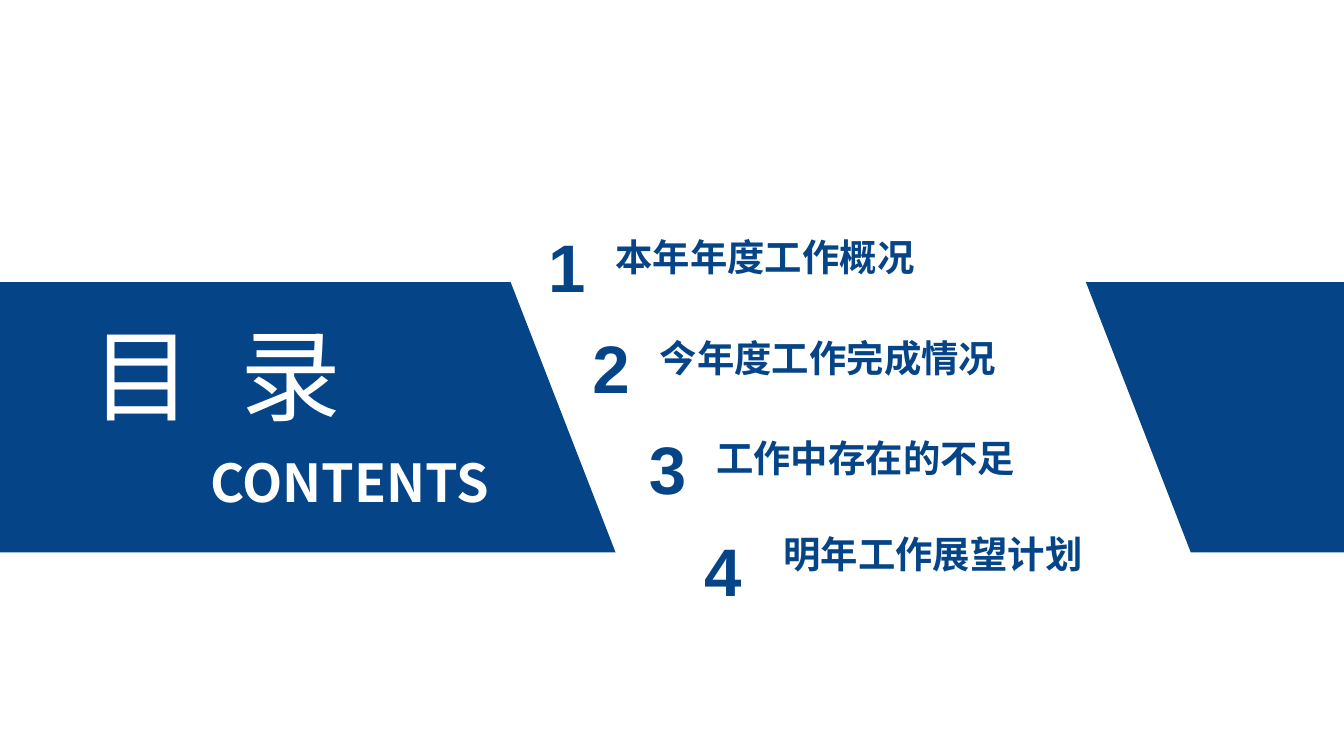
import pptx
import pptx.dml.color
import pptx.enum.text
import pptx.oxml.ns
import pptx.util
import lxml.etree

Inches = pptx.util.Inches
ALIGN = pptx.enum.text.PP_ALIGN
ANCHOR = pptx.enum.text.MSO_ANCHOR
AUTO = pptx.enum.text.MSO_AUTO_SIZE
COLORS = {"navy": "054487", "white": "FFFFFF"}
CJK = "Noto Sans CJK SC"


def rgb(name):
    """Return the named colour."""
    return pptx.dml.color.RGBColor.from_string(COLORS[name])


def write(sp, text, size, color="navy", font=CJK, bold=True, align=ALIGN.LEFT,
          anchor=ANCHOR.TOP, wrap=False, auto=AUTO.NONE, leading=1.0, spacing=0):
    """Fill a shape with one formatted paragraph."""
    tf = sp.text_frame
    tf.word_wrap, tf.auto_size, tf.vertical_anchor = wrap, auto, anchor
    p = tf.paragraphs[0]
    p.alignment, p.line_spacing = align, leading
    r = p.add_run()
    r.text = text
    r.font.name, r.font.size, r.font.bold = font, pptx.util.Pt(size), bold
    r.font.color.rgb = rgb(color)
    rPr = r._r.get_or_add_rPr()
    ea = lxml.etree.SubElement(rPr, pptx.oxml.ns.qn("a:ea"))
    ea.set("typeface", font)
    if spacing:
        rPr.set("spc", str(spacing * 100))


class Deck:
    """Holds the shared style and the current slide."""

    def __init__(self, prs):
        """Start a title-only slide."""
        self.s = prs.slides.add_slide(prs.slide_layouts[5])

    def band(self, points):
        """Draw a solid navy polygon."""
        pts = [(Inches(x), Inches(y)) for x, y in points]
        builder = self.s.shapes.build_freeform(*pts[0])
        builder.add_line_segments(pts[1:], close=True)
        sp = builder.convert_to_shape()
        sp.shadow.inherit = False
        sp.fill.solid()
        sp.fill.fore_color.rgb = rgb("navy")
        sp.line.fill.background()

    def title(self, text, x, y, w, h, **style):
        """Place the title in front of the bands."""
        sp = self.s.shapes.title
        sp.left, sp.top, sp.width, sp.height = map(Inches, (x, y, w, h))
        self.s.shapes._spTree.append(sp._element)
        write(sp, text, **style)

    def text(self, text, x, y, w, h, **style):
        """Add a text box."""
        sp = self.s.shapes.add_textbox(*map(Inches, (x, y, w, h)))
        write(sp, text, **style)


def main():
    """Build the contents slide."""
    prs = pptx.Presentation()
    prs.slide_width = Inches(10)
    prs.slide_height = prs.slide_width * 9 // 16
    deck = Deck(prs)
    top, bottom = 2.1, 4.11
    deck.band([(8.08, top), (10, top), (10, bottom), (8.86, bottom)])
    deck.band([(0, top), (3.8, top), (4.58, bottom), (0, bottom)])

    heading = dict(color="white", align=ALIGN.CENTER, anchor=ANCHOR.MIDDLE)
    deck.title("目 录", 0.51, 2.34, 2.2, 0.87, size=54, bold=False, spacing=7, **heading)
    deck.text("CONTENTS", 1.38, 3.36, 2.44, 0.45, size=28, **heading)

    items = [
        ("本年年度工作概况", 3.98, 1.63, 0.25, 4.48, 1.63),
        ("今年度工作完成情况", 4.31, 2.38, 0.33, 4.81, 2.38),
        ("工作中存在的不足", 4.73, 3.13, 0.33, 5.23, 3.12),
        ("明年工作展望计划", 5.14, 3.89, 0.33, 5.73, 3.84),
    ]
    for number, (label, num_x, num_y, num_w, x, y) in enumerate(items, 1):
        deck.text(str(number), num_x, num_y, num_w, 0.5, size=36, font="Arial")
        deck.text(label, x, y, 3.25, 0.47, size=20, wrap=True,
                  auto=AUTO.SHAPE_TO_FIT_TEXT, leading=1.2)

    prs.save("out.pptx")


if __name__ == "__main__":
    main()
